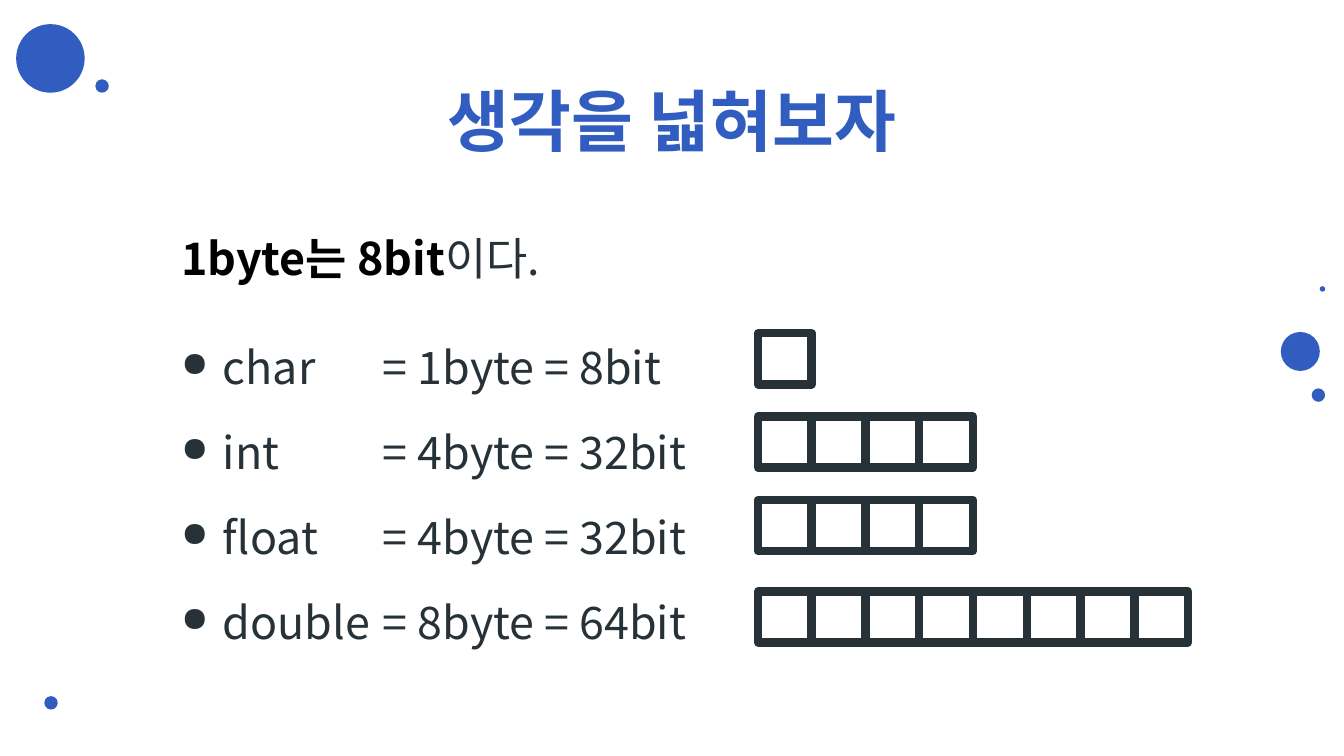
from dataclasses import dataclass
from lxml.etree import SubElement
from pptx import Presentation
from pptx.dml.color import RGBColor
from pptx.enum.shapes import MSO_SHAPE
from pptx.enum.text import MSO_ANCHOR, MSO_AUTO_SIZE, PP_ALIGN
from pptx.oxml.ns import qn
from pptx.util import Inches, Pt


@dataclass(frozen=True)
class Theme:
    """Colours, font and type sizes."""
    blue: str = "305DBF"
    dark: str = "263238"
    black: str = "000000"
    white: str = "FFFFFF"
    font: str = "Noto Sans CJK KR"
    head: int = 36
    body: int = 24
    edge: float = 4.5


class Deck:
    """Holds the style and the current slide."""

    def __init__(self, theme, wide, high):
        """Start a deck with one titled slide."""
        self.theme = theme
        self.file = Presentation()
        self.apply(self.file, {"slide_width": Inches(wide), "slide_height": Inches(high)})
        self.slide = self.file.slides.add_slide(self.file.slide_layouts[5])

    def apply(self, item, values):
        """Set each attribute in a dict."""
        for name, value in values.items():
            setattr(item, name, value)

    def frame(self, shape):
        """Set the insets and flow of a text frame."""
        side = Inches(0.1)
        self.apply(shape.text_frame, {
            "margin_left": side, "margin_right": side, "margin_bottom": side,
            "margin_top": side, "word_wrap": True,
            "auto_size": MSO_AUTO_SIZE.NONE, "vertical_anchor": MSO_ANCHOR.TOP})
        return shape.text_frame

    def run(self, para, text, size, color, bold=False):
        """Add a styled run."""
        run = para.add_run()
        run.text = text
        self.apply(run.font, {"size": Pt(size), "bold": bold, "name": self.theme.font})
        run.font.color.rgb = RGBColor.from_string(color)
        SubElement(run.font._element, qn("a:ea"), typeface=self.theme.font)

    def title(self, text, box):
        """Place and fill the title."""
        shape = self.slide.shapes.title
        names = ("left", "top", "width", "height")
        self.apply(shape, dict(zip(names, map(Inches, box))))
        para = self.frame(shape).paragraphs[0]
        self.apply(para, {"alignment": PP_ALIGN.CENTER, "line_spacing": 1.0})
        self.run(para, text, self.theme.head, self.theme.blue, True)

    def indent(self, para, left, hang, tab=None):
        """Indent a paragraph, with a bullet and tab stop if asked."""
        props = para._p.get_or_add_pPr()
        props.set("marL", str(Inches(left)))
        props.set("indent", str(Inches(hang)))
        if tab:
            color = SubElement(props, qn("a:buClr"))
            SubElement(color, qn("a:srgbClr"), val=self.theme.dark)
            SubElement(props, qn("a:buSzPct"), val="77000")
            SubElement(props, qn("a:buChar"), char="●")
            stops = SubElement(props, qn("a:tabLst"))
            SubElement(stops, qn("a:tab"), pos=str(Inches(tab)), algn="l")

    def body(self, lead, items, box):
        """Add a lead line and a bullet list."""
        theme = self.theme
        frame = self.frame(self.slide.shapes.add_textbox(*map(Inches, box)))
        para = frame.paragraphs[0]
        self.indent(para, 0.5, 0)
        for text, color, bold in lead:
            self.run(para, text, theme.body, color, bold)
        for row, text in enumerate(items):
            para = frame.add_paragraph()
            para.space_before = Pt(16.8 if row else 29.2)
            self.indent(para, 0.81, -0.31, 2)
            self.run(para, text, theme.body, theme.dark)

    def shape(self, kind, box, fill, edge=None):
        """Add a filled shape, outlined if asked."""
        shape = self.slide.shapes.add_shape(kind, *map(Inches, box))
        shape.shadow.inherit = False
        shape.fill.solid()
        shape.fill.fore_color.rgb = RGBColor.from_string(fill)
        if edge:
            shape.line.color.rgb = RGBColor.from_string(edge)
            shape.line.width = Pt(self.theme.edge)
        else:
            shape.line.fill.background()

    def dot(self, left, top, size):
        """Add a round blue dot."""
        self.shape(MSO_SHAPE.OVAL, (left, top, size, size), self.theme.blue)

    def cells(self, left, top, count):
        """Add a row of byte cells."""
        wide, high = 0.4, 0.38
        for col in range(count):
            box = (left + col * wide, top, wide, high)
            self.shape(MSO_SHAPE.RECTANGLE, box, self.theme.white, self.theme.dark)


theme = Theme()
deck = Deck(theme, 10, 10 * 9 / 16)
dots = [(0.12, 0.18, 0.51), (0.71, 0.59, 0.1), (9.53, 2.47, 0.29),
        (9.76, 2.89, 0.1), (9.82, 2.13, 0.04), (0.33, 5.18, 0.1)]
for spot in dots:
    deck.dot(*spot)
deck.title("생각을 넓혀보자", (0.75, 0.49, 8.5, 0.63))

types = [("char ", 1, 2.48), ("int ", 4, 3.1), ("float ", 4, 3.72), ("double", 8, 4.4)]
lead = [("1byte는 8bit", theme.black, True), ("이다.", theme.dark, False)]
items = [f"{name}\t= {size}byte = {size * 8}bit" for name, size, _ in types]
deck.body(lead, items, (0.75, 1.62, 8.5, 3.52))
for _, size, top in types:
    deck.cells(5.64, top, size)
deck.file.save("out.pptx")
